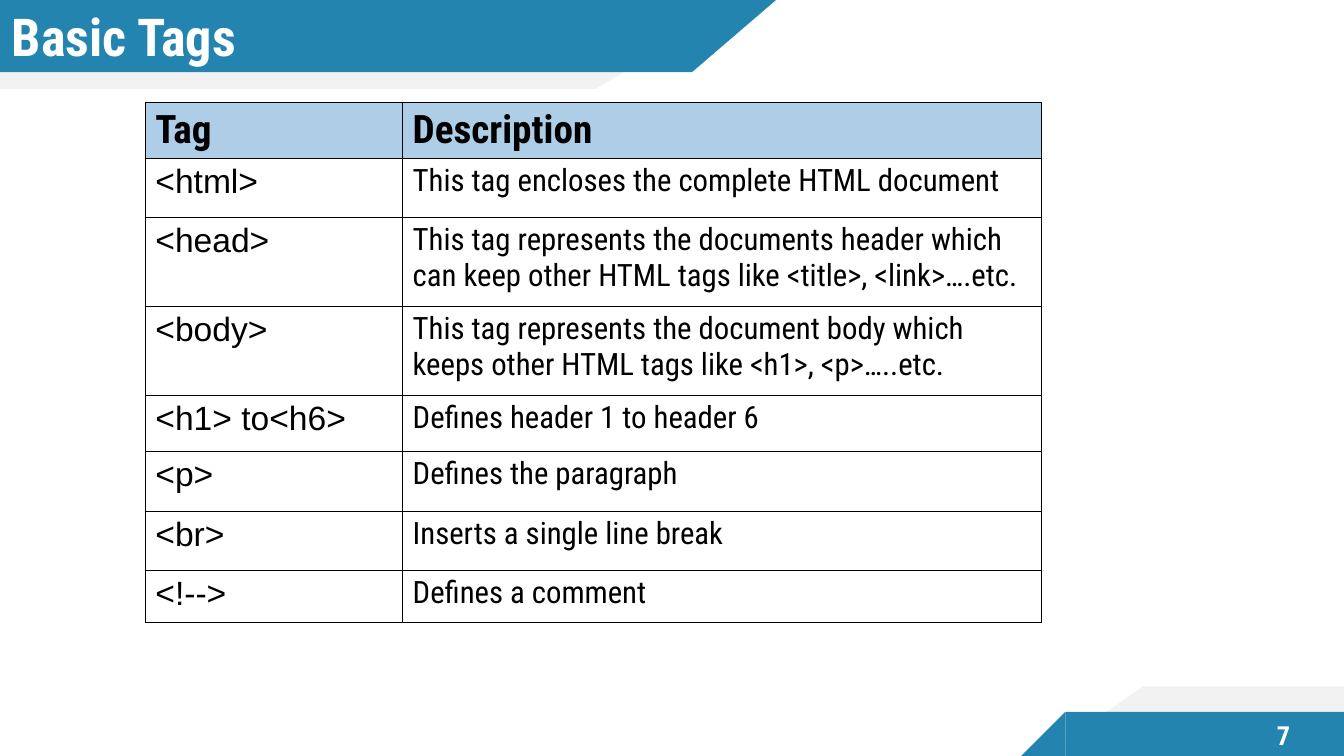
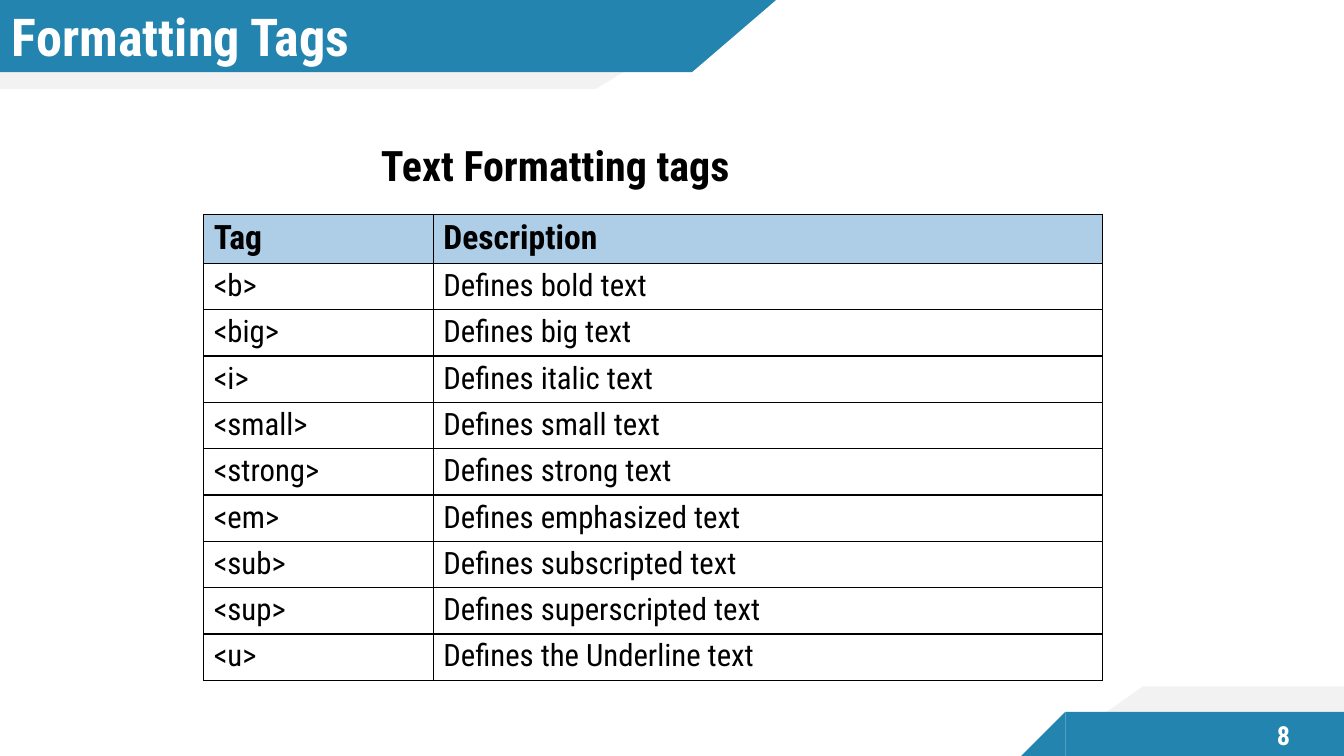
from lxml.etree import SubElement
from pptx import Presentation
from pptx.dml.color import RGBColor
from pptx.enum.shapes import MSO_SHAPE
from pptx.enum.text import MSO_ANCHOR, MSO_AUTO_SIZE, PP_ALIGN
from pptx.oxml.ns import qn
from pptx.util import Pt

# Shared look
BLUE = RGBColor(0x23, 0x84, 0xAF)
GREY = RGBColor(0xF2, 0xF2, 0xF2)
HEADER_BLUE = RGBColor(0xAE, 0xCD, 0xE6)
BLACK = RGBColor(0, 0, 0)
WHITE = RGBColor(0xFF, 0xFF, 0xFF)
FONT = "Roboto Condensed"
TAG_FONT = "Arial"
WIDTH, HEIGHT = 960, 540

# Slanted bands: colour, length of the straight part, length of the slant, height
TOP_BANDS = [(GREY, 425.7, 104.3, 63.4), (BLUE, 494.3, 60, 51.5)]
BOTTOM_BANDS = [(GREY, 143.5, 70.5, 49.8), (BLUE, 199, 31.5, 31.6)]

# Table contents
HEADINGS = ("Tag", "Description")
BASIC_TAGS = [
    HEADINGS,
    ("<html>", "This tag encloses the complete HTML document"),
    ("<head>", "This tag represents the documents header which can keep "
               "other HTML tags like <title>, <link>….etc."),
    ("<body>", "This tag represents the document body which keeps "
               "other HTML tags like <h1>, <p>…..etc."),
    ("<h1> to<h6>", "Defines header 1 to header 6"),
    ("<p>", "Defines the paragraph"),
    ("<br>", "Inserts a single line break"),
    ("<!-->", "Defines a comment"),
]
FORMATTING_TAGS = [
    HEADINGS,
    ("<b>", "Defines bold text"),
    ("<big>", "Defines big text"),
    ("<i>", "Defines italic text"),
    ("<small>", "Defines small text"),
    ("<strong>", "Defines strong text"),
    ("<em>", "Defines emphasized text"),
    ("<sub>", "Defines subscripted text"),
    ("<sup>", "Defines superscripted text"),
    ("<u>", "Defines the Underline text"),
]


def write(tf, text, size, color=BLACK, bold=False, font=FONT,
          align=PP_ALIGN.LEFT):
    tf.text = text
    p = tf.paragraphs[0]
    p.alignment = align
    f = p.runs[0].font
    f.name, f.size, f.bold = font, Pt(size), bold
    f.color.rgb = color


def place(sp, left, top, width, height):
    sp.left, sp.top = Pt(left), Pt(top)
    sp.width, sp.height = Pt(width), Pt(height)


def add_band_part(s, layout, preset, box, color, rotation):
    """Draw a mirrored part and move it to the layout, behind slide content."""
    sp = s.shapes.add_shape(preset, *map(Pt, box))
    sp.shadow.inherit = False
    sp.fill.solid()
    sp.fill.fore_color.rgb = color
    sp.line.fill.background()
    sp.rotation = rotation
    sp.element.spPr.get_or_add_xfrm().set("flipH", "1")
    layout.shapes.element.append(sp.element)


def add_bands(s, layout):
    rect, slope = MSO_SHAPE.RECTANGLE, MSO_SHAPE.RIGHT_TRIANGLE
    for color, straight, slant, height in TOP_BANDS:
        add_band_part(s, layout, rect, (0, 0, straight, height), color, 180)
        add_band_part(s, layout, slope, (straight, 0, slant, height),
                      color, 180)
    for color, straight, slant, height in BOTTOM_BANDS:
        left, top = WIDTH - straight, HEIGHT - height
        add_band_part(s, layout, rect, (left, top, straight, height), color, 0)
        add_band_part(s, layout, slope, (left - slant, top, slant, height),
                      color, 0)


def add_title(s, text):
    sp = s.shapes.title
    place(sp, 0, 3, 530, 45)
    tf = sp.text_frame
    tf.word_wrap = True
    tf.auto_size = MSO_AUTO_SIZE.NONE
    tf.vertical_anchor = MSO_ANCHOR.MIDDLE
    tf.margin_left = Pt(8.5)
    tf.margin_top = tf.margin_right = tf.margin_bottom = 0
    write(tf, text, 37.3, WHITE, bold=True)


def add_text(s, box, text, size, **style):
    tf = s.shapes.add_textbox(*map(Pt, box)).text_frame
    tf.word_wrap = True
    write(tf, text, size, bold=True, **style)
    return tf


def add_page_number(s, number):
    tf = add_text(s, (885.3, 509, 63, 32), str(number), 18.7,
                  color=WHITE, align=PP_ALIGN.CENTER)
    tf.vertical_anchor = MSO_ANCHOR.MIDDLE


def add_borders(cell):
    tc_pr = cell._tc.get_or_add_tcPr()
    for side in ("a:lnL", "a:lnR", "a:lnT", "a:lnB"):
        ln = SubElement(tc_pr, qn(side), w=str(Pt(1)))
        fill = SubElement(ln, qn("a:solidFill"))
        SubElement(fill, qn("a:srgbClr"), val=str(BLACK))


def add_tag_table(s, left, top, col_widths, row_heights, rows,
                  header_size, tag_size=22, tag_font=FONT):
    table = s.shapes.add_table(
        len(rows), len(col_widths), Pt(left), Pt(top),
        Pt(sum(col_widths)), Pt(sum(row_heights))).table
    table.first_row = table.horz_banding = False
    for column, width in zip(table.columns, col_widths):
        column.width = Pt(width)
    for row, height in zip(table.rows, row_heights):
        row.height = Pt(height)
    for i, texts in enumerate(rows):
        for j, text in enumerate(texts):
            cell = table.cell(i, j)
            add_borders(cell)
            cell.margin_top = cell.margin_bottom = Pt(3.2)
            cell.fill.solid()
            cell.fill.fore_color.rgb = WHITE if i else HEADER_BLUE
            if i == 0:
                write(cell.text_frame, text, header_size, bold=True)
            elif j == 0:
                write(cell.text_frame, text, tag_size, font=tag_font)
            else:
                write(cell.text_frame, text, 22)


def add_slide(prs, layout, title, number):
    s = prs.slides.add_slide(layout)
    add_title(s, title)
    add_page_number(s, number)
    return s


def main():
    prs = Presentation()
    prs.slide_width, prs.slide_height = Pt(WIDTH), Pt(HEIGHT)
    layout = prs.slide_layouts.get_by_name("Title Only")

    # Basic tags
    s = add_slide(prs, layout, "Basic Tags", 7)
    add_bands(s, layout)
    add_tag_table(s, 103.8, 73.2, (183.8, 456.2),
                  (39.8, 42.3, 63.5, 63.5, 40.3, 42.4, 42.4, 37.2),
                  BASIC_TAGS, header_size=28, tag_size=24, tag_font=TAG_FONT)

    # Formatting tags
    s = add_slide(prs, layout, "Formatting Tags", 8)
    add_tag_table(s, 145.5, 153, (164, 478),
                  [35] + [33.1] * (len(FORMATTING_TAGS) - 1),
                  FORMATTING_TAGS, header_size=24)
    add_text(s, (265, 96, 428, 44), "Text Formatting tags", 30)

    prs.save("out.pptx")


if __name__ == "__main__":
    main()
